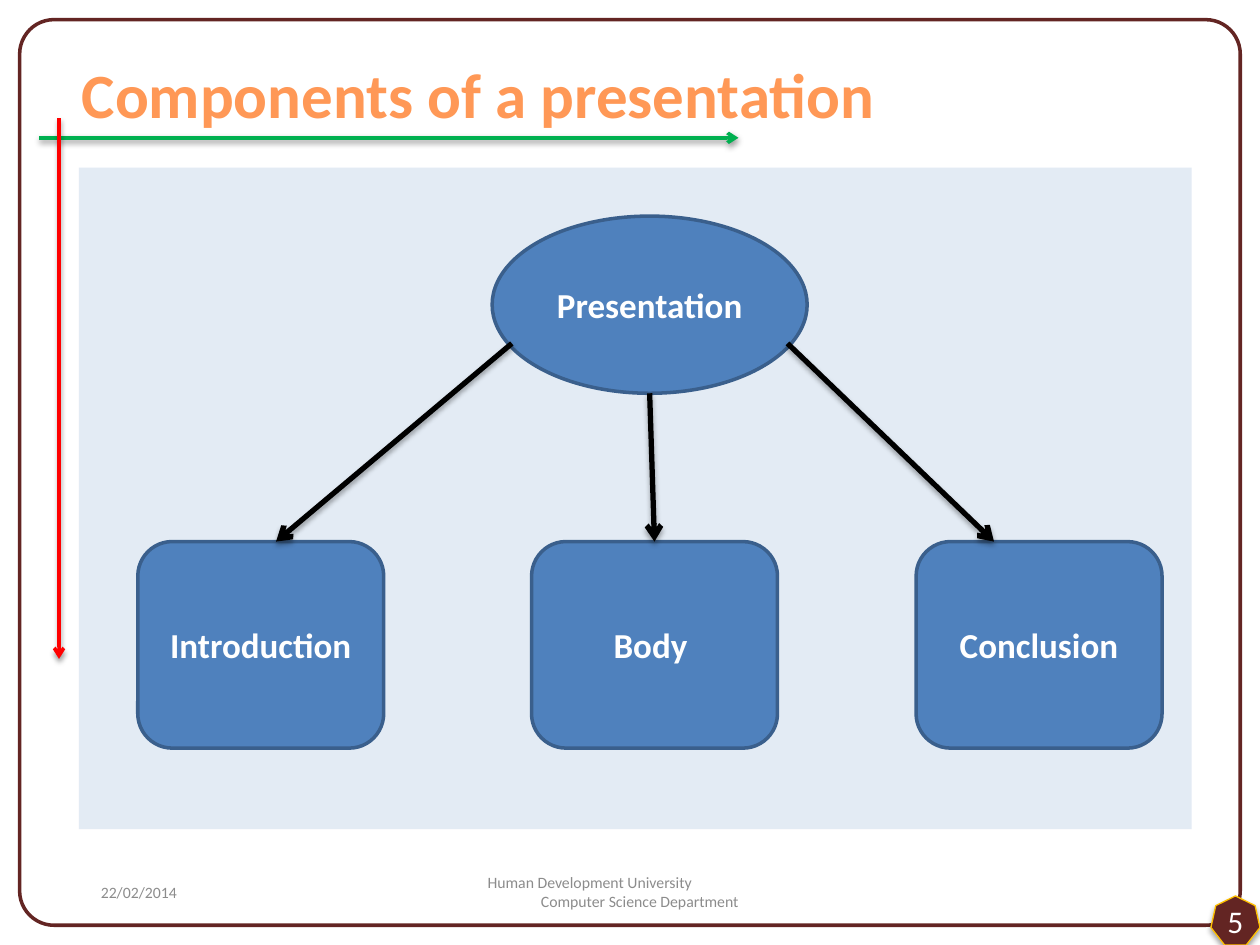
from pptx import Presentation
from pptx.dml.color import RGBColor
from pptx.enum import shapes, text
from pptx.oxml import parse_xml
from pptx.oxml.ns import nsdecls, qn
from pptx.util import Pt

FONT = "Calibri"
SHAPE = shapes.MSO_SHAPE
ALIGN = text.PP_ALIGN


def color(value):
    return RGBColor.from_string(value)


def write(shape, words, size, fill, bold=False, align=ALIGN.LEFT,
          anchor=text.MSO_ANCHOR.MIDDLE, margins=(7.2, 3.6)):
    """Put one formatted paragraph in the shape; a vertical tab breaks the line."""
    frame = shape.text_frame
    frame.word_wrap = True
    frame.auto_size = text.MSO_AUTO_SIZE.NONE
    frame.vertical_anchor = anchor
    frame.margin_left = frame.margin_right = Pt(margins[0])
    frame.margin_top = frame.margin_bottom = Pt(margins[1])
    paragraph = frame.paragraphs[0]
    paragraph.text = words
    paragraph.alignment = align
    for run in paragraph.runs:
        run.font.name = FONT
        run.font.size = Pt(size)
        run.font.bold = bold
        run.font.color.rgb = color(fill)
    return paragraph


def add_shadow(shape, opacity, distance):
    """Give the shape a soft shadow straight below it."""
    properties = shape._element.spPr
    for old in properties.findall(qn("a:effectLst")):
        properties.remove(old)
    properties.append(parse_xml(
        f'<a:effectLst {nsdecls("a")}><a:outerShdw blurRad="{Pt(3.1)}" dist="{Pt(distance)}" '
        f'dir="5400000" rotWithShape="0"><a:srgbClr val="000000">'
        f'<a:alpha val="{opacity * 1000}"/></a:srgbClr></a:outerShdw></a:effectLst>'))


def add_shape(slide, kind, box, fill, line=None, width=2):
    shape = slide.shapes.add_shape(kind, *map(Pt, box))
    shape.shadow.inherit = False
    shape.fill.solid()
    shape.fill.fore_color.rgb = color(fill)
    if line:
        shape.line.color.rgb = color(line)
        shape.line.width = Pt(width)
    else:
        shape.line.fill.background()
    return shape


def add_arrow(slide, start, end, line, width, opacity=38, distance=1.6):
    arrow = slide.shapes.add_connector(
        shapes.MSO_CONNECTOR.STRAIGHT, *map(Pt, (*start, *end)))
    arrow.line.color.rgb = color(line)
    arrow.line.width = Pt(width)
    arrow.line._get_or_add_ln().append(
        parse_xml(f'<a:tailEnd {nsdecls("a")} type="arrow"/>'))
    add_shadow(arrow, opacity, distance)
    return arrow


def add_frame(slide, box):
    """Draw the slide border with its two accent arrows."""
    left, top, _, _ = box
    border = add_shape(slide, SHAPE.ROUNDED_RECTANGLE, box, "FFFFFF", "632523")
    border.adjustments[0] = 0.038
    add_arrow(slide, (left + 11.25, top + 67.5), (left + 410.75, top + 67.5), "00B050", 2)
    add_arrow(slide, (left + 22.5, top + 56.25), (left + 22.5, top + 365.25), "FF0000", 2)


def add_title(slide, box):
    title = slide.shapes.title
    title.left, title.top, title.width, title.height = map(Pt, box)
    write(title, "Components of a presentation", 36, "FF9856", bold=True,
          anchor=text.MSO_ANCHOR.TOP)
    # Keep the title in front of the border
    slide.shapes._spTree.append(title._element)


def add_node(slide, kind, box, words):
    node = add_shape(slide, kind, box, "4F81BD", "3A5F8C")
    write(node, words, 20, "FFFFFF", bold=True, align=ALIGN.CENTER)
    return node


def add_diagram(slide, box):
    """Draw the panel, the topic and its three parts."""
    left, top, _, _ = box
    panel = add_shape(slide, SHAPE.RECTANGLE, box, "DCE6F2")
    panel.fill._xPr.find(qn("a:solidFill"))[0].append(
        parse_xml(f'<a:alpha {nsdecls("a")} val="80000"/>'))

    add_node(slide, SHAPE.OVAL, (left + 236.25, top + 27.75, 180, 101.25), "Presentation")
    part_top = top + 213.75
    # Name, left edge, arrow start, arrow end along the part's top edge
    parts = [("Introduction", 33.75, (247.5, 100.5), 79),
             ("Body ", 258.75, (326.25, 129), None),
             ("Conclusion", 478.5, (405, 100.5), 44.5)]
    for name, offset, (start_x, start_y), end_x in parts:
        part_left = left + offset
        part = add_node(slide, SHAPE.ROUNDED_RECTANGLE,
                        (part_left, part_top, 140.5, 118), name)
        arrow = add_arrow(slide, (left + start_x, top + start_y),
                          (part_left + (end_x or 70.25), part_top),
                          "000000", 3, opacity=35, distance=1.8)
        if end_x is None:
            arrow.end_connect(part, 0)


def add_footer(slide, box):
    """Place the date, the institution and the page number."""
    left, top, width, height = box
    date = slide.shapes.add_textbox(*map(Pt, (left, top, 137, height)))
    write(date, "22/02/2014", 9, "8C8C8C")

    institution = slide.shapes.add_textbox(*map(Pt, (left + 203, top, 228, height)))
    paragraph = write(institution, "Human Development University\vComputer Science Department",
                      9, "8C8C8C")
    properties = paragraph._p.get_or_add_pPr()
    properties.set("marL", str(Pt(48.5)))
    properties.set("indent", str(Pt(-30.5)))

    badge = add_shape(slide, SHAPE.HEPTAGON, (left + width - 28, top + 16.5, 28, 28),
                      "632523", "FFC000", 0.75)
    add_shadow(badge, 35, 1.8)
    write(badge, "5", 18, "FFFFFF", align=ALIGN.CENTER, margins=(0, 0))


def main():
    presentation = Presentation()
    presentation.slide_width, presentation.slide_height = Pt(720), Pt(540)
    slide = presentation.slides.add_slide(presentation.slide_layouts[5])
    add_frame(slide, (11.25, 11.25, 697.5, 517.5))
    add_title(slide, (39.5, 28, 618.5, 51))
    add_diagram(slide, (45, 95.75, 636, 378))
    add_footer(slide, (50.5, 495.5, 669.5, 28.5))
    presentation.save("out.pptx")


if __name__ == "__main__":
    main()
